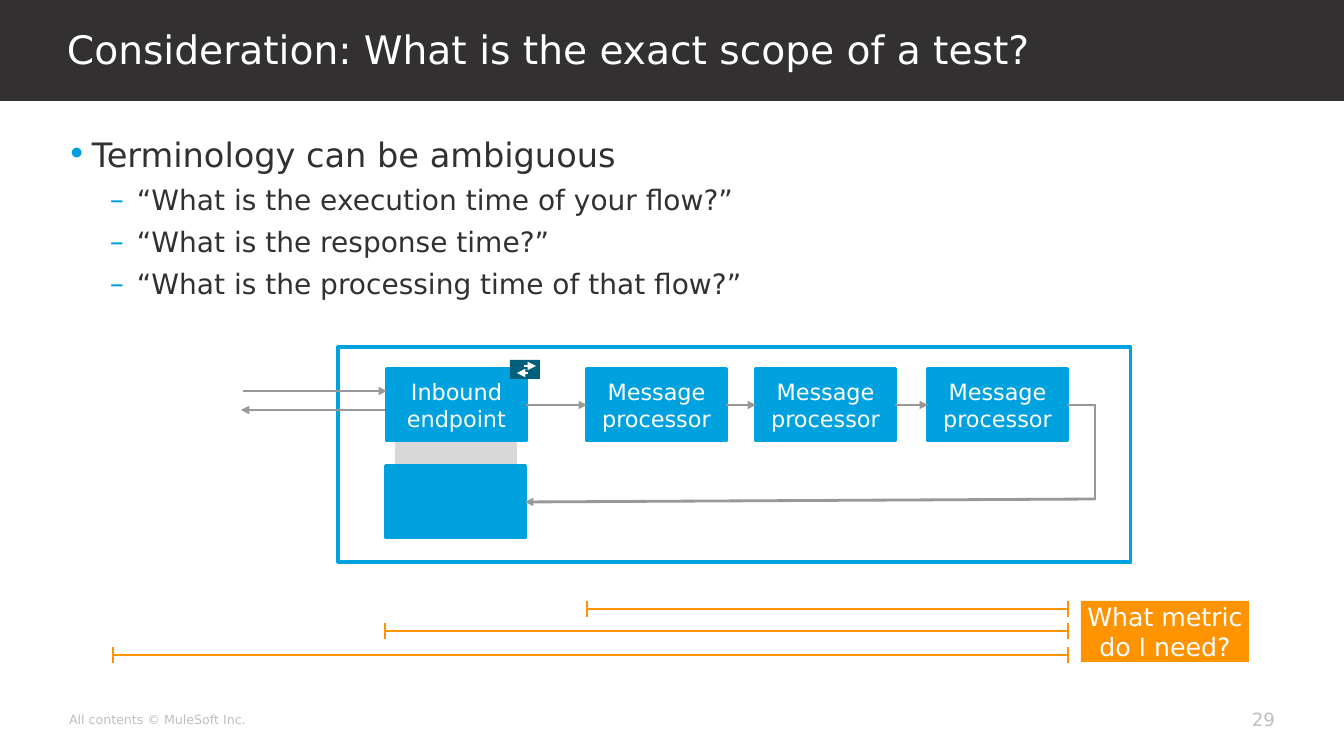
from lxml import etree
from pptx import Presentation
from pptx.dml.color import RGBColor
from pptx.enum.shapes import MSO_CONNECTOR, MSO_SHAPE
from pptx.enum.text import MSO_ANCHOR, PP_ALIGN
from pptx.oxml.ns import qn
from pptx.util import Emu, Pt

FONT = "DejaVu Sans"
DARK, WHITE, PALE = "323031", "FFFFFF", "BFBFBF"
BLUE, TEAL, ORANGE, GRAY = "00A1DF", "00607C", "FF9300", "999899"
BULLET_BLUE, SHADE = "00A0DF", "646469"
BOX_W, BOX_H, BOX_Y = 139, 72, 369
TOP, LEFT, BOTTOM, RIGHT = range(4)  # connection sites of a rectangle


def px(n):
    return Emu(round(n * 914400 / 100.8))


def rgb(color):
    return RGBColor.from_string(color)


def add_run(p, text, size, color):
    r = p.add_run()
    r.text = text
    r.font.size = Pt(size)
    r.font.name = FONT
    r.font.color.rgb = rgb(color)


def set_frame(tf, anchor, wrap=True):
    tf.margin_left = tf.margin_right = tf.margin_top = tf.margin_bottom = 0
    tf.vertical_anchor = anchor
    tf.word_wrap = wrap


def add_box(s, x, y, w, h, fill=None, line=None, alpha=None):
    sp = s.shapes.add_shape(MSO_SHAPE.RECTANGLE, px(x), px(y), px(w), px(h))
    sp.shadow.inherit = False
    if fill:
        sp.fill.solid()
        sp.fill.fore_color.rgb = rgb(fill)
    else:
        sp.fill.background()
    if alpha:
        clr = sp._element.spPr.find(qn("a:solidFill"))[0]
        etree.SubElement(clr, qn("a:alpha"), val=str(alpha * 1000))
    if line:
        sp.line.color.rgb = rgb(line)
        sp.line.width = Pt(2.25)
    else:
        sp.line.fill.background()
    return sp


def add_step(s, x, y, lines=()):
    sp = add_box(s, x, y, BOX_W, BOX_H, BLUE, BLUE)
    tf = sp.text_frame
    set_frame(tf, MSO_ANCHOR.MIDDLE)
    for i, text in enumerate(lines):
        p = tf.add_paragraph() if i else tf.paragraphs[0]
        p.alignment = PP_ALIGN.CENTER
        add_run(p, text, 16, WHITE)
    return sp


def add_line(s, x1, y1, x2, y2, color=GRAY, width=2, arrow=False):
    cn = s.shapes.add_connector(MSO_CONNECTOR.STRAIGHT, px(x1), px(y1), px(x2), px(y2))
    cn.line.color.rgb = rgb(color)
    cn.line.width = Pt(width)
    if arrow:
        etree.SubElement(cn.line._get_or_add_ln(), qn("a:tailEnd"), type="triangle")
    etree.SubElement(cn._element.spPr, qn("a:effectLst"))
    return cn


def add_span(s, x1, x2, y):
    add_line(s, x1, y, x2, y, ORANGE)
    for x in (x1, x2):
        add_line(s, x, y + 8, x, y - 8, ORANGE)


def add_label(s, x, y, w, h, text, size, align):
    tf = s.shapes.add_textbox(px(x), px(y), px(w), px(h)).text_frame
    set_frame(tf, MSO_ANCHOR.MIDDLE)
    p = tf.paragraphs[0]
    p.alignment = align
    add_run(p, text, size, PALE)


def add_bullet(p, char, indent, hanging):
    pPr = p._p.get_or_add_pPr()
    pPr.set("marL", str(px(indent)))
    pPr.set("indent", str(-px(hanging)))
    clr = etree.SubElement(pPr, qn("a:buClr"))
    etree.SubElement(clr, qn("a:srgbClr"), val=BULLET_BLUE)
    etree.SubElement(pPr, qn("a:buFont"), typeface=FONT)
    etree.SubElement(pPr, qn("a:buChar"), char=char)


def add_title(s, text):
    band = add_box(s, -1, 0, 1346, 101, DARK)
    s.shapes._spTree.insert(2, band._element)  # behind the title
    title = s.shapes.title
    title.left, title.top, title.width, title.height = px(67), px(0), px(1045), px(100)
    tf = title.text_frame
    set_frame(tf, MSO_ANCHOR.MIDDLE)
    p = tf.paragraphs[0]
    p.alignment = PP_ALIGN.LEFT
    p.line_spacing = Pt(32)
    add_run(p, text, 28, WHITE)


def add_bullets(s, heading, items):
    tf = s.shapes.add_textbox(px(67), px(134), px(1208), px(170)).text_frame
    set_frame(tf, MSO_ANCHOR.TOP)
    p = tf.paragraphs[0]
    add_bullet(p, "•", 25, 25)
    add_run(p, heading, 24, DARK)
    for text in items:
        p = tf.add_paragraph()
        p.level = 1
        p.space_before = Pt(6)
        add_bullet(p, "–", 70, 27)
        add_run(p, text, 20, DARK)


def add_flow(s):
    # Shade linking the two halves of the endpoint
    add_box(s, 395, 440, 122, 26, SHADE, alpha=25)
    inbound = add_step(s, 387, BOX_Y, ("Inbound", "endpoint"))
    outbound = add_step(s, 386, 466)
    add_box(s, 338, 347, 793, 215, line=BLUE)

    # Exchange icon
    add_box(s, 510, 360, 30, 19, TEAL)
    add_line(s, 524, 366, 536, 366, WHITE, 1.5, True)
    add_line(s, 528, 373, 517, 373, WHITE, 1.5, True)

    # Request and response
    add_line(s, 243, 391, 387, 391, arrow=True)
    add_line(s, 385, 410, 241, 410, arrow=True)

    # Processor chain
    mid = BOX_Y + BOX_H // 2
    previous, end = inbound, 387 + BOX_W
    for x in (587, 756, 928):
        step = add_step(s, x, BOX_Y, ("Message", "processor"))
        cn = add_line(s, end, mid, x, mid, arrow=True)
        cn.begin_connect(previous, RIGHT)
        cn.end_connect(step, LEFT)
        previous, end = step, x + BOX_W

    # Way back to the endpoint
    add_line(s, end, mid, 1096, mid).begin_connect(previous, RIGHT)
    add_line(s, 1095, 500, 1095, mid)
    back = add_line(s, 1095, 499, 386 + BOX_W, 502, arrow=True)
    back.end_connect(outbound, RIGHT)


def add_metrics(s):
    for start, y in ((587, 609), (385, 631), (113, 655)):
        add_span(s, start, 1068, y)
    tf = add_box(s, 1081, 601, 168, 61, ORANGE).text_frame
    set_frame(tf, MSO_ANCHOR.TOP)
    p = tf.paragraphs[0]
    p.alignment = PP_ALIGN.CENTER
    add_run(p, "What metric do I need?", 18, WHITE)


def main():
    prs = Presentation()
    prs.slide_width, prs.slide_height = px(1344), px(756)
    s = prs.slides.add_slide(prs.slide_layouts[5])
    add_title(s, "Consideration: What is the exact scope of a test?")
    add_bullets(s, "Terminology can be ambiguous", (
        "“What is the execution time of your flow?”",
        "“What is the response time?”",
        "“What is the processing time of that flow?”",
    ))
    add_flow(s)
    add_metrics(s)
    add_label(s, 69, 699, 373, 40, "All contents © MuleSoft Inc.", 9, PP_ALIGN.LEFT)
    add_label(s, 1200, 699, 75, 40, "29", 13, PP_ALIGN.RIGHT)
    prs.save("out.pptx")


if __name__ == "__main__":
    main()
